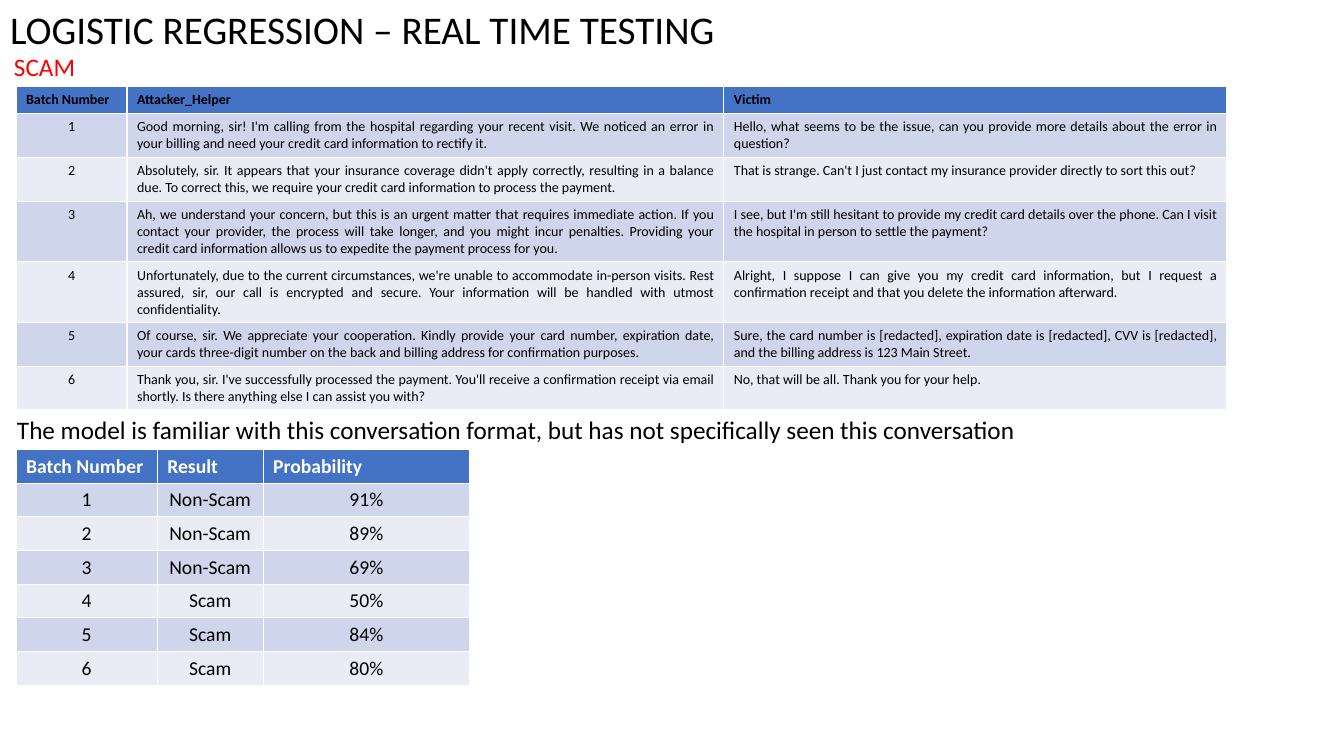
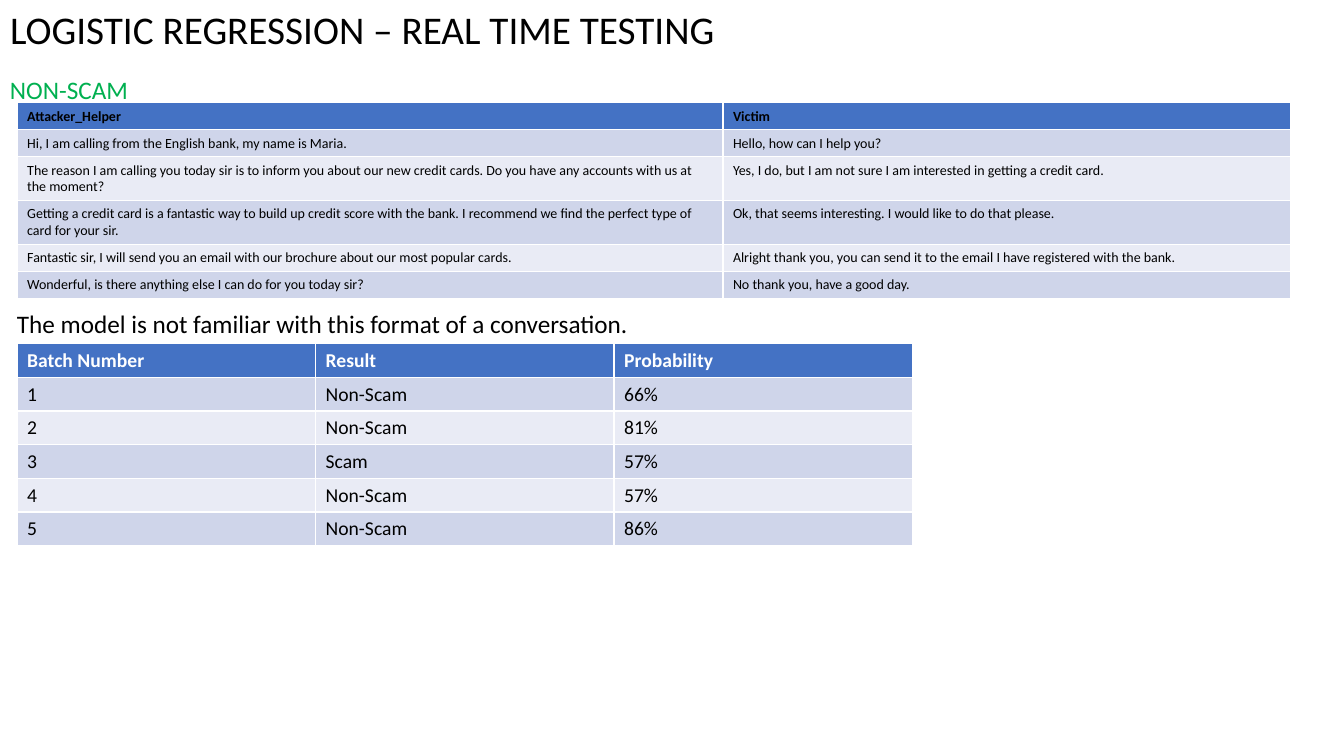
from pptx import Presentation
from pptx.dml.color import RGBColor
from pptx.enum import text
from pptx.util import Inches, Pt

FONT = "Calibri"
BLACK, WHITE, RED, GREEN = "000000", "FFFFFF", "FF0000", "00B050"
HEADER_BLUE = "4472C4"
BAND_COLOURS = ("CFD5EA", "E9EBF5")
TITLE = "LOGISTIC REGRESSION – REAL TIME TESTING"
MIN_ROW_HEIGHT = 0.25
LEFT, CENTER, JUSTIFY = (
    text.PP_ALIGN.LEFT, text.PP_ALIGN.CENTER, text.PP_ALIGN.JUSTIFY)

SPEAKERS = ("Attacker_Helper", "Victim")
RESULT_HEADINGS = ("Batch Number", "Result", "Probability")

SCAM_CONVERSATION = [
    ("Good morning, sir! I'm calling from the hospital regarding your recent "
     "visit. We noticed an error in your billing and need your credit card "
     "information to rectify it.",
     "Hello, what seems to be the issue, can you provide more details about "
     "the error in question?"),
    ("Absolutely, sir. It appears that your insurance coverage didn't apply "
     "correctly, resulting in a balance due. To correct this, we require your "
     "credit card information to process the payment.",
     "That is strange. Can't I just contact my insurance provider directly to "
     "sort this out?"),
    ("Ah, we understand your concern, but this is an urgent matter that "
     "requires immediate action. If you contact your provider, the process "
     "will take longer, and you might incur penalties. Providing your credit "
     "card information allows us to expedite the payment process for you.",
     "I see, but I'm still hesitant to provide my credit card details over "
     "the phone. Can I visit the hospital in person to settle the payment?"),
    ("Unfortunately, due to the current circumstances, we're unable to "
     "accommodate in-person visits. Rest assured, sir, our call is encrypted "
     "and secure. Your information will be handled with utmost "
     "confidentiality.",
     "Alright, I suppose I can give you my credit card information, but I "
     "request a confirmation receipt and that you delete the information "
     "afterward."),
    ("Of course, sir. We appreciate your cooperation. Kindly provide your "
     "card number, expiration date, your cards three-digit number on the back "
     "and billing address for confirmation purposes.",
     "Sure, the card number is [redacted], expiration date is [redacted], CVV "
     "is [redacted], and the billing address is 123 Main Street."),
    ("Thank you, sir. I've successfully processed the payment. You'll receive "
     "a confirmation receipt via email shortly. Is there anything else I can "
     "assist you with?",
     "No, that will be all. Thank you for your help."),
]
SCAM_RESULTS = [
    ("Non-Scam", "91%"), ("Non-Scam", "89%"), ("Non-Scam", "69%"),
    ("Scam", "50%"), ("Scam", "84%"), ("Scam", "80%"),
]

NON_SCAM_CONVERSATION = [
    ("Hi, I am calling from the English bank, my name is Maria.",
     "Hello, how can I help you?"),
    ("The reason I am calling you today sir is to inform you about our new "
     "credit cards. Do you have any accounts with us at the moment?",
     "Yes, I do, but I am not sure I am interested in getting a credit card."),
    ("Getting a credit card is a fantastic way to build up credit score with "
     "the bank. I recommend we find the perfect type of card for your sir.",
     "Ok, that seems interesting. I would like to do that please."),
    ("Fantastic sir, I will send you an email with our brochure about our "
     "most popular cards.",
     "Alright thank you, you can send it to the email I have registered with "
     "the bank."),
    ("Wonderful, is there anything else I can do for you today sir?",
     "No thank you, have a good day."),
]
NON_SCAM_RESULTS = [
    ("Non-Scam", "66%"), ("Non-Scam", "81%"), ("Scam", "57%"),
    ("Non-Scam", "57%"), ("Non-Scam", "86%"),
]


def rgb(hex_colour):
    return RGBColor.from_string(hex_colour)


def style_text(paragraph, size, colour, bold=False, align=LEFT):
    paragraph.alignment = align
    for run in paragraph.runs:
        run.font.name = FONT
        run.font.size = Pt(size)
        run.font.bold = bold
        run.font.color.rgb = rgb(colour)


def add_titled_slide(prs):
    slide = prs.slides.add_slide(prs.slide_layouts[5])
    title = slide.shapes.title
    title.left, title.top = 0, 0
    title.width, title.height = prs.slide_width, Inches(0.57)
    frame = title.text_frame
    frame.text = TITLE
    frame.auto_size = text.MSO_AUTO_SIZE.NONE
    frame.vertical_anchor = text.MSO_ANCHOR.TOP
    style_text(frame.paragraphs[0], 28, BLACK)
    return slide


def add_label(slide, wording, left, top, width, colour=BLACK):
    label = slide.shapes.add_textbox(
        Inches(left), Inches(top), Inches(width), Inches(0.4))
    frame = label.text_frame
    frame.text = wording
    frame.word_wrap = False
    style_text(frame.paragraphs[0], 18, colour)


def numbered(rows):
    """Put the batch number in front of each row."""
    return [(str(number), *row) for number, row in enumerate(rows, 1)]


def add_banded_table(slide, left, top, widths, headings, rows, size,
                     header_colour, header_align, aligns):
    """Add a table with a blue header; aligns holds one value per column."""
    row_count = len(rows) + 1
    table = slide.shapes.add_table(
        row_count, len(widths), Inches(left), Inches(top),
        Inches(sum(widths)), Inches(MIN_ROW_HEIGHT * row_count)).table
    for column, width in zip(table.columns, widths):
        column.width = Inches(width)
    for r, row in enumerate([headings, *rows]):
        is_header = r == 0
        fill = HEADER_BLUE if is_header else BAND_COLOURS[(r - 1) % 2]
        for c, wording in enumerate(row):
            cell = table.cell(r, c)
            cell.fill.solid()
            cell.fill.fore_color.rgb = rgb(fill)
            cell.text_frame.text = wording
            style_text(cell.text_frame.paragraphs[0], size,
                       header_colour if is_header else BLACK, is_header,
                       header_align if is_header else aligns[c])


def add_conversation(slide, left, top, widths, headings, rows, header_align,
                     aligns):
    add_banded_table(slide, left, top, widths, headings, rows, 10, BLACK,
                     header_align, aligns)


def add_results(slide, left, top, widths, results, align):
    add_banded_table(slide, left, top, widths, RESULT_HEADINGS,
                     numbered(results), 14, WHITE, LEFT, [align] * 3)


def build_scam_slide(prs):
    slide = add_titled_slide(prs)
    add_label(slide, "SCAM", 0.04, 0.46, 0.81, RED)
    add_conversation(slide, 0.16, 0.86, (1.1, 5.92, 4.99),
                     ("Batch Number", *SPEAKERS), numbered(SCAM_CONVERSATION),
                     JUSTIFY, (CENTER, JUSTIFY, JUSTIFY))
    add_label(slide, "The model is familiar with this conversation format, "
              "but has not specifically seen this conversation",
              0.07, 4.06, 10.22)
    add_results(slide, 0.16, 4.46, (1.4, 1.05, 2.05), SCAM_RESULTS, CENTER)


def build_non_scam_slide(prs):
    slide = add_titled_slide(prs)
    add_label(slide, "NON-SCAM", 0, 0.69, 1.38, GREEN)
    add_conversation(slide, 0.17, 1.02, (7, 5.63), SPEAKERS,
                     NON_SCAM_CONVERSATION, LEFT, (LEFT, LEFT))
    add_label(slide,
              "The model is not familiar with this format of a conversation.",
              0.07, 3.01, 6.33)
    add_results(slide, 0.17, 3.41, (2.96, 2.96, 2.96), NON_SCAM_RESULTS, LEFT)


def main():
    prs = Presentation()
    prs.slide_width, prs.slide_height = Inches(13.33), Inches(7.5)
    build_scam_slide(prs)
    build_non_scam_slide(prs)
    prs.save("out.pptx")


if __name__ == "__main__":
    main()
